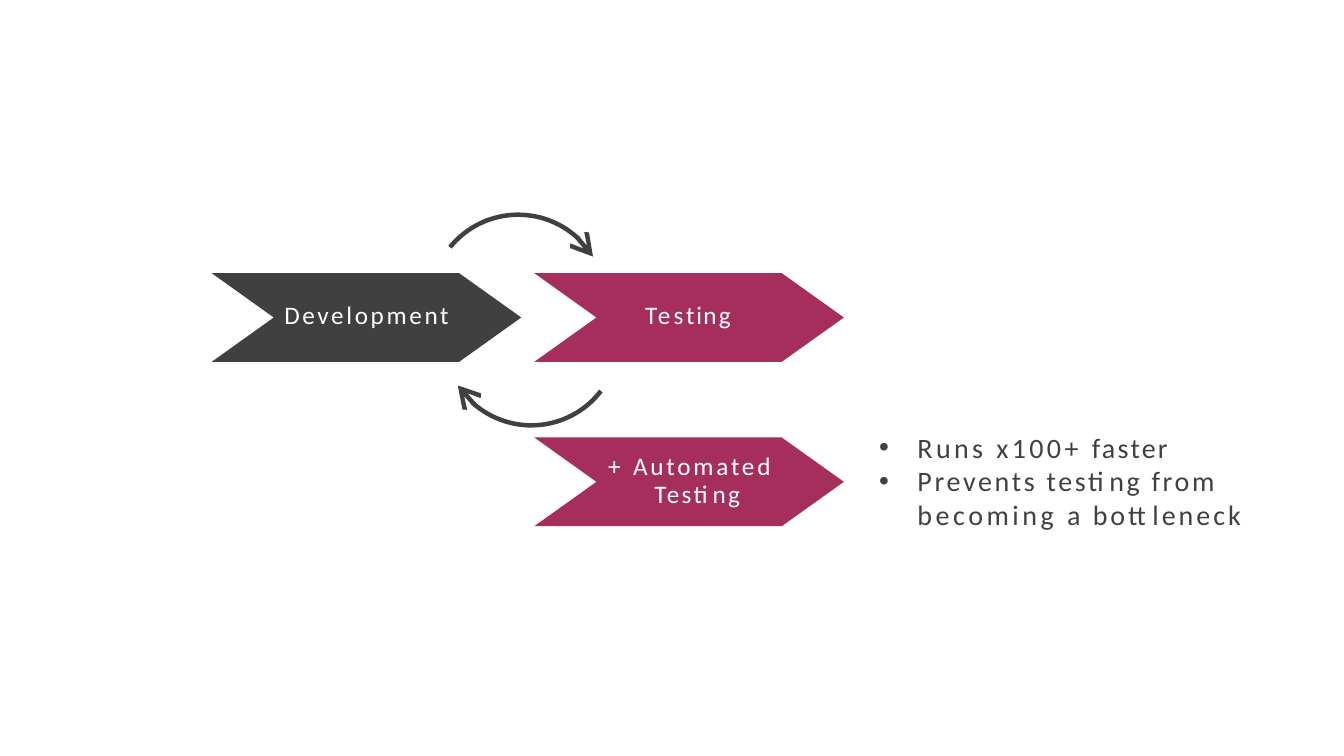
"""Build the slide of a development and testing loop."""
from dataclasses import dataclass
from math import cos, radians, sin

from lxml.etree import SubElement as Sub
from pptx import Presentation
from pptx.dml.color import RGBColor
from pptx.enum.shapes import MSO_SHAPE as Kind
from pptx.oxml.ns import qn
from pptx.util import Inches, Pt

DARK, ROSE, WHITE = "404040", "A62E5C", "FFFFFF"


@dataclass
class Step:
    """A chevron in the flow."""
    left: float
    top: float
    fill: str


@dataclass
class Loop:
    """A round arrow between two steps."""
    mid_x: float
    mid_y: float
    start: float


@dataclass
class Label:
    """A text block: paragraphs of words with their letter gaps."""
    box: tuple[float, float, float, float]
    lines: list[list[tuple[str, float]]]
    size: int = 18
    color: str = WHITE
    inset: float = 0.01
    before: int = 1
    hang: tuple[float, float] = (0.01, 0)
    pitch: float | None = None
    dot: bool = False


STEPS = [Step(2.1, 2.71, DARK), Step(5.3, 2.71, ROSE), Step(5.3, 4.34, ROSE)]
LOOPS = [Loop(5.14, 3.0, 219), Loop(5.27, 3.35, 37.5)]
RADIUS, SWEEP, PARTS = 0.87, 109.5, 40
LABELS = [
    Label((2.81, 2.96, 1.8, 0.33), [[("Development", 1.9)]]),
    Label((6.39, 2.96, 1.0, 0.33),
          [list(zip("Testing", (0.2, 2.4, 1.8, 1.3, 0.9, 1.6, 3.5)))]),
    Label((6.02, 4.45, 1.75, 0.6),
          [[("+ ", 2.4), ("Automated\v", 2), ("Testing", 1.7)]],
          inset=0.04, before=3, hang=(0.47, -0.46), pitch=19.9),
    Label((8.71, 4.26, 3.63, 1.03),
          [[("Runs x100+ ", 2.4), ("faster", 1.6)],
           [("Prevents testing from ", 1.9), ("becoming ", 2.5),
            ("a bottleneck", 2.1)]],
          size=20, color=DARK, hang=(0.39, -0.38), dot=True),
]


def paint(target, color: str) -> None:
    """Give a fill a solid colour."""
    target.solid()
    target.fore_color.rgb = RGBColor.from_string(color)


def draw_step(shapes, step: Step) -> None:
    """Draw one chevron."""
    shape = shapes.add_shape(Kind.CHEVRON, Inches(step.left), Inches(step.top),
                             Inches(3.07), Inches(0.88))
    shape.adjustments[0] = 0.7
    shape.shadow.inherit = False
    paint(shape.fill, step.fill)
    shape.line.fill.background()


def draw_loop(shapes, loop: Loop) -> None:
    """Draw one open curve that ends in an arrowhead."""
    turns = [radians(loop.start + SWEEP * part / PARTS) for part in range(PARTS + 1)]
    dots = [(Inches(loop.mid_x + RADIUS * cos(turn)),
             Inches(loop.mid_y + RADIUS * sin(turn))) for turn in turns]
    pen = shapes.build_freeform(*dots[0])
    pen.add_line_segments(dots[1:], close=False)
    curve = pen.convert_to_shape()
    curve.shadow.inherit = False
    curve.fill.background()
    paint(curve.line.fill, DARK)
    curve.line.width = Pt(3.2)
    Sub(curve.line._get_or_add_ln(), qn("a:tailEnd"), type="arrow", w="lg", len="lg")


def add_words(para, label: Label, text: str, gap: float) -> None:
    """Add one run, with a line break after it where the text asks for one."""
    run = para.add_run()
    run.text = text.rstrip("\v")
    for name, value in {"name": "Calibri", "size": Pt(label.size)}.items():
        setattr(run.font, name, value)
    paint(run.font.fill, label.color)
    run._r.get_or_add_rPr().set("spc", str(round(gap * 100)))
    if text.endswith("\v"):
        para.add_line_break()


def draw_label(shapes, label: Label) -> None:
    """Write one text block."""
    frame = shapes.add_textbox(*map(Inches, label.box)).text_frame
    form = {"word_wrap": True, "margin_left": 0, "margin_right": 0,
            "margin_top": Inches(label.inset), "margin_bottom": 0}
    for name, value in form.items():
        setattr(frame, name, value)
    for index, words in enumerate(label.lines):
        para = frame.add_paragraph() if index else frame.paragraphs[0]
        if label.pitch:
            para.line_spacing = Pt(label.pitch)
        para.space_before = Pt(0 if index else label.before)
        props = para._p.get_or_add_pPr()
        for name, value in zip(("marL", "indent"), label.hang):
            props.set(name, str(Inches(value)))
        if label.dot:
            Sub(props, qn("a:buFont"), typeface="Arial")
            Sub(props, qn("a:buChar"), char="•")
        for text, gap in words:
            add_words(para, label, text, gap)


def main() -> None:
    """Build and save the deck."""
    deck = Presentation()
    deck.slide_width, deck.slide_height = Inches(13.33), Inches(7.5)
    shapes = deck.slides.add_slide(deck.slide_layouts[6]).shapes
    for draw, items in ((draw_step, STEPS), (draw_loop, LOOPS), (draw_label, LABELS)):
        for item in items:
            draw(shapes, item)
    deck.save("out.pptx")


main()
